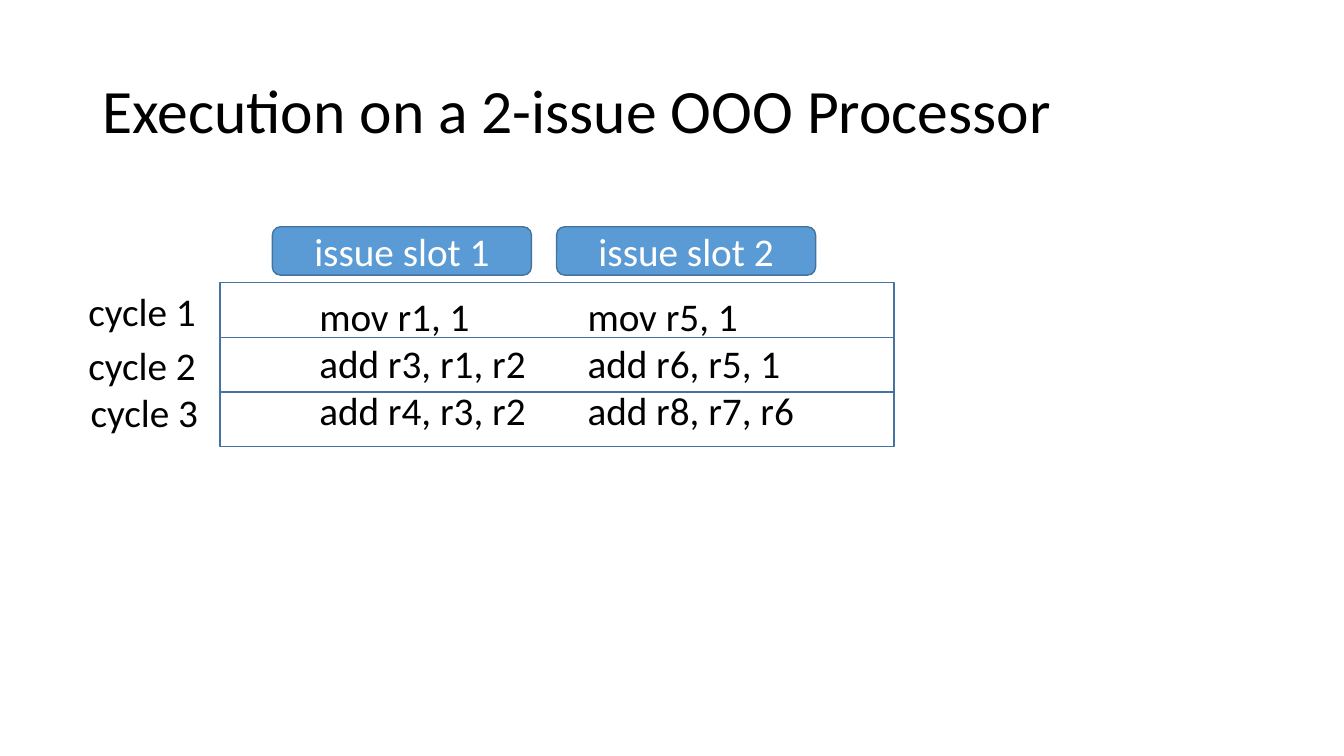
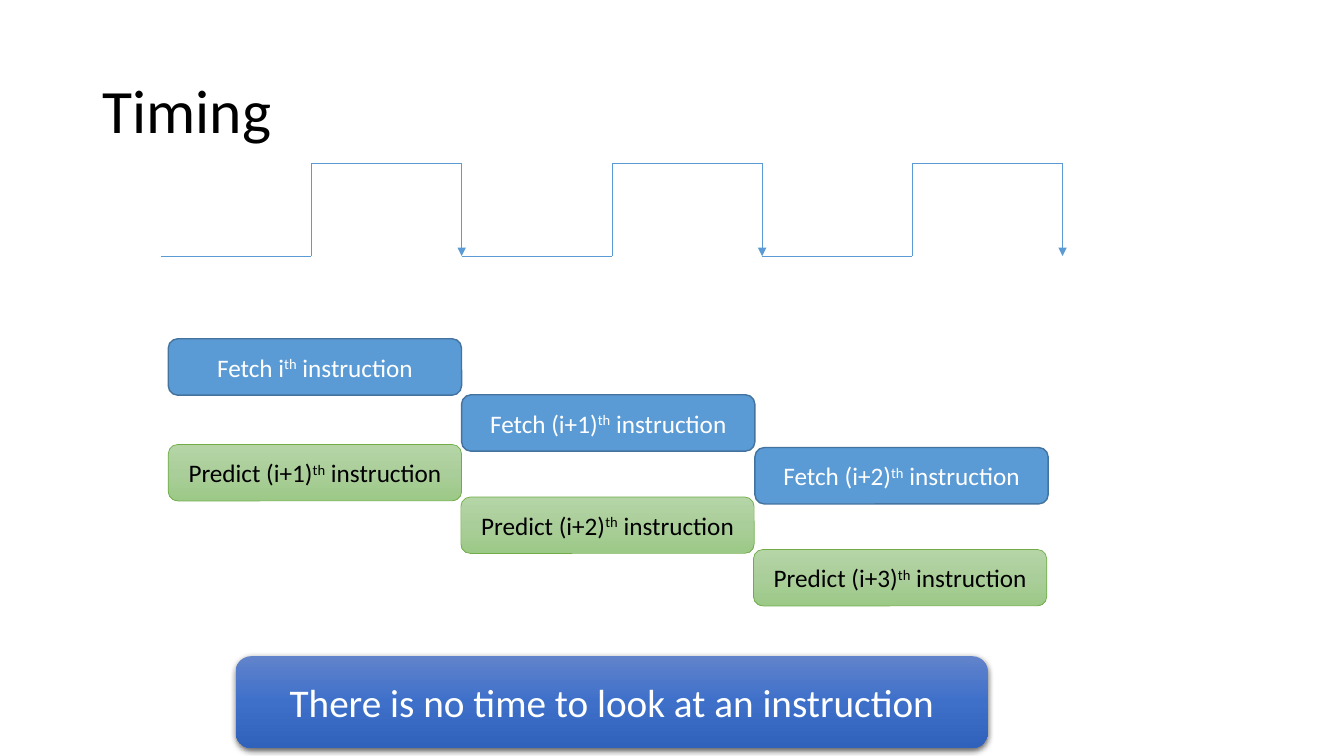
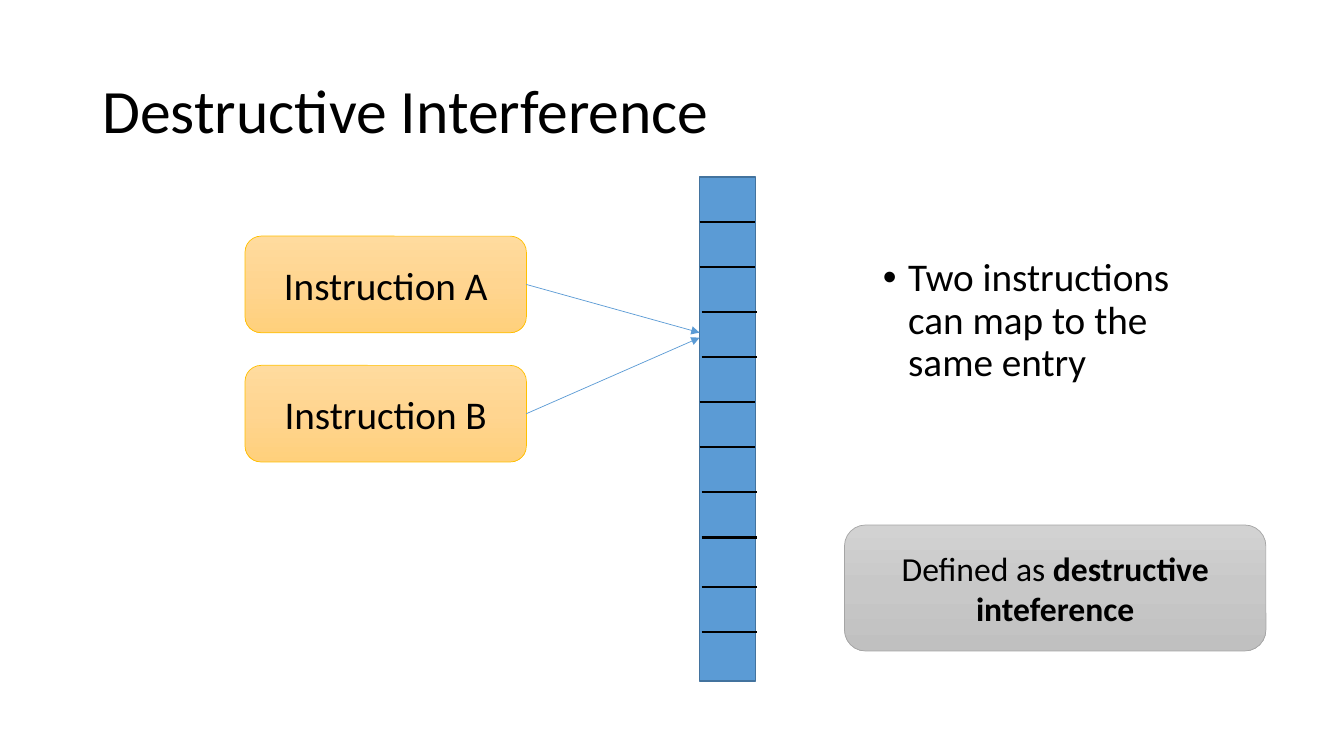
from copy import deepcopy

from lxml.etree import SubElement
from pptx import Presentation
from pptx.dml.color import RGBColor
from pptx.enum.shapes import MSO_CONNECTOR, MSO_SHAPE
from pptx.enum.text import MSO_ANCHOR, MSO_AUTO_SIZE, PP_ALIGN
from pptx.oxml.ns import qn
from pptx.util import Pt

FONT = "Calibri"
COLORS = {
    "black": "000000", "white": "FFFFFF",
    "blue": "5B9BD5", "navy": "43739E",
    "green": "70AD47", "gold": "FFC000", "gray": "A5A5A5",
}
GRADIENTS = {
    "green": ("B5D5A7", "AACE9A", "9CC987"),
    "gold": ("FFDB9E", "FFD590", "FFD07C"),
    "gray": ("D2D2D2", "C8C8C8", "C0C0C0"),
    "royal": ("6183CB", "3E70CA", "3062BB"),
}
TITLE_BOX = (66, 28.8, 828, 104.4)
TITLE_ONLY, TITLE_AND_BODY = 5, 1


def rgb(name):
    return RGBColor.from_string(COLORS[name])


# Shared helpers
def place(sp, x, y, w, h):
    sp.left, sp.top, sp.width, sp.height = Pt(x), Pt(y), Pt(w), Pt(h)


def write(p, runs, size, color="black", align=PP_ALIGN.LEFT):
    """Fill a paragraph; runs is a string or a list of (text, style) pairs."""
    p.alignment = align
    p.font.name, p.font.size = FONT, Pt(size)
    p.font.color.rgb = rgb(color)
    for text, style in [(runs, "")] if isinstance(runs, str) else runs:
        r = p.add_run()
        r.text = text
        if style == "bold":
            r.font.bold = True
        elif style == "super":
            r._r.get_or_add_rPr().set("baseline", "30000")


def add_text(s, box, lines, size=28, wrap=True):
    tf = s.shapes.add_textbox(*map(Pt, box)).text_frame
    tf.word_wrap = wrap
    for i, line in enumerate(lines):
        write(tf.add_paragraph() if i else tf.paragraphs[0], line, size)


def fill_gradient(sp, hexes):
    sp.fill.gradient()
    sp.fill.gradient_angle = 270
    stops = sp._element.spPr.find(".//" + qn("a:gsLst"))
    stops.insert(1, deepcopy(stops[0]))
    for stop, pos, color in zip(sp.fill.gradient_stops, (0, 0.5, 1), hexes):
        stop.position = pos
        stop.color.rgb = RGBColor.from_string(color)


def add_box(s, box, fill=None, line=None, width=1, kind=MSO_SHAPE.ROUNDED_RECTANGLE,
            runs=None, size=28, color="black"):
    sp = s.shapes.add_shape(kind, *map(Pt, box))
    sp.shadow.inherit = False
    if fill in GRADIENTS:
        fill_gradient(sp, GRADIENTS[fill])
    elif fill:
        sp.fill.solid()
        sp.fill.fore_color.rgb = rgb(fill)
    else:
        sp.fill.background()
    if line:
        sp.line.color.rgb, sp.line.width = rgb(line), Pt(width)
    else:
        sp.line.fill.background()
    if runs:
        tf = sp.text_frame
        tf.word_wrap, tf.vertical_anchor = True, MSO_ANCHOR.MIDDLE
        write(tf.paragraphs[0], runs, size, color, PP_ALIGN.CENTER)
    return sp


def add_line(s, x1, y1, x2, y2, color="blue", width=0.5, arrow=False):
    cx = s.shapes.add_connector(MSO_CONNECTOR.STRAIGHT, *map(Pt, (x1, y1, x2, y2)))
    cx.line.color.rgb, cx.line.width = rgb(color), Pt(width)
    if arrow:
        SubElement(cx.line._get_or_add_ln(), qn("a:tailEnd"), type="triangle")
    SubElement(cx._element.spPr, qn("a:effectLst"))


def add_shadow(sp):
    effects = sp._element.spPr.find(qn("a:effectLst"))
    shadow = SubElement(effects, qn("a:outerShdw"), blurRad=str(Pt(4.5)),
                        dist=str(Pt(1.5)), dir="5400000", rotWithShape="0")
    tint = SubElement(shadow, qn("a:srgbClr"), val=COLORS["black"])
    SubElement(tint, qn("a:alpha"), val="63000")


def new_slide(prs, title, layout=TITLE_ONLY):
    s = prs.slides.add_slide(prs.slide_layouts[layout])
    place(s.shapes.title, *TITLE_BOX)
    tf = s.shapes.title.text_frame
    tf.auto_size, tf.vertical_anchor = MSO_AUTO_SIZE.NONE, MSO_ANCHOR.MIDDLE
    write(tf.paragraphs[0], title, 44)
    tf.paragraphs[0].line_spacing = 0.9
    return s


# Slide 1: issue slots by cycle
def issue_grid(s, x, y, w, row_h):
    columns = [
        (64, ["mov r1, 1", "add r3, r1, r2", "add r4, r3, r2"]),
        (255.6, ["mov r5, 1", "add r6, r5, 1", "add r8, r7, r6"]),
    ]
    for dx, code in columns:
        add_text(s, (x + dx, y + 3, 225, 109), code)
    labels = [(-101, 0), (-101, 38.6), (-99.4, 71.6)]
    for i, (dx, dy) in enumerate(labels):
        add_box(s, (x, y + i * row_h, w, row_h), line="navy", kind=MSO_SHAPE.RECTANGLE)
        add_text(s, (x + dx, y + dy, 92, 41), [f"cycle {i + 1}"], wrap=False)
    for i in range(2):
        add_box(s, (x + 37.6 + i * 203, y - 40, 185, 34.5), "blue", "navy",
                runs=f"issue slot {i + 1}", color="white")


def issue_slide(prs):
    s = new_slide(prs, "Execution on a 2-issue OOO Processor")
    issue_grid(s, 157, 202, 481.7, 39)


# Slide 2: clock and overlapping stages
def clock(s, x, y, half, h, periods=3):
    low = y + h
    for i in range(periods):
        start = x + 2 * half * i
        mid, end = start + half, start + 2 * half
        add_line(s, start, low, mid, low)
        add_line(s, mid, low, mid, y)
        add_line(s, mid, y, end, y)
        add_line(s, end, y, end, low, arrow=True)


def stages(s, x, tops, step, verb, orders, **style):
    for i, (top, order) in enumerate(zip(tops, orders)):
        runs = [(f"{verb} {order}", ""), ("th", "super"), (" instruction", "")]
        add_box(s, (x + i * step, top, 209.5, 40.3), runs=runs, size=18, **style)


def timing_slide(prs):
    s = new_slide(prs, "Timing")
    clock(s, 115.2, 116.6, 107.3, 66.3)
    stages(s, 120.2, (242, 282, 319.7), 209.5, "Fetch", ("i", "(i+1)", "(i+2)"),
           fill="blue", line="navy", color="white")
    stages(s, 120.2, (317.5, 355, 392.5), 209, "Predict", ("(i+1)", "(i+2)", "(i+3)"),
           fill="green", line="green", width=0.5)
    banner = add_box(s, (168.5, 468.7, 537, 65.5), "royal", color="white",
                     runs="There is no time to look at an instruction")
    add_shadow(banner)


# Slide 3: two instructions sharing a table entry
def entry_table(s, x, y, w, h):
    add_box(s, (x, y, w, h), "blue", "navy", kind=MSO_SHAPE.RECTANGLE)
    shifts = (0, 0, 1.4, 1.4, 0, 0, 1.4, 1.4, 1.4, 1.4)
    for i, dx in enumerate(shifts):
        line_y = y + 32 + i * 32.2 + (3.2 if i >= 8 else 0)
        add_line(s, x + dx, line_y, x + dx + w, line_y, "black", 1.5)


def instructions(s, x, y, w, h, targets):
    for i, (name, target) in enumerate(zip("AB", targets)):
        top = y + i * 92.3
        add_box(s, (x, top, w, h), "gold", "gold", 0.5, runs=f"Instruction {name}")
        add_line(s, x + w, top + h / 2, *target, arrow=True)


def body_list(s, box, text):
    body = s.placeholders[1]
    place(body, *box)
    tf = body.text_frame
    tf.auto_size = MSO_AUTO_SIZE.NONE
    p = tf.paragraphs[0]
    write(p, text, 28)
    p.line_spacing, p.space_before = 0.9, Pt(10)
    pPr = p._p.get_or_add_pPr()
    pPr.set("marL", str(Pt(18)))
    pPr.set("indent", str(Pt(-18)))


def interference_slide(prs):
    s = new_slide(prs, "Destructive Interference", TITLE_AND_BODY)
    body_list(s, (623.5, 180.7, 227.5, 191.5), "Two instructions can map to the same entry")
    entry_table(s, 499.7, 126.5, 39.9, 360)
    instructions(s, 175, 168.7, 201, 69, [(499.7, 237.6), (499.7, 241.2)])
    add_box(s, (603.2, 375, 301, 90), "gray", "gray", 0.5, size=24,
            runs=[("Defined as ", ""), ("destructive inteference", "bold")])


def main():
    prs = Presentation()
    prs.slide_width, prs.slide_height = Pt(960), Pt(540)
    issue_slide(prs)
    timing_slide(prs)
    interference_slide(prs)
    prs.save("out.pptx")


if __name__ == "__main__":
    main()
